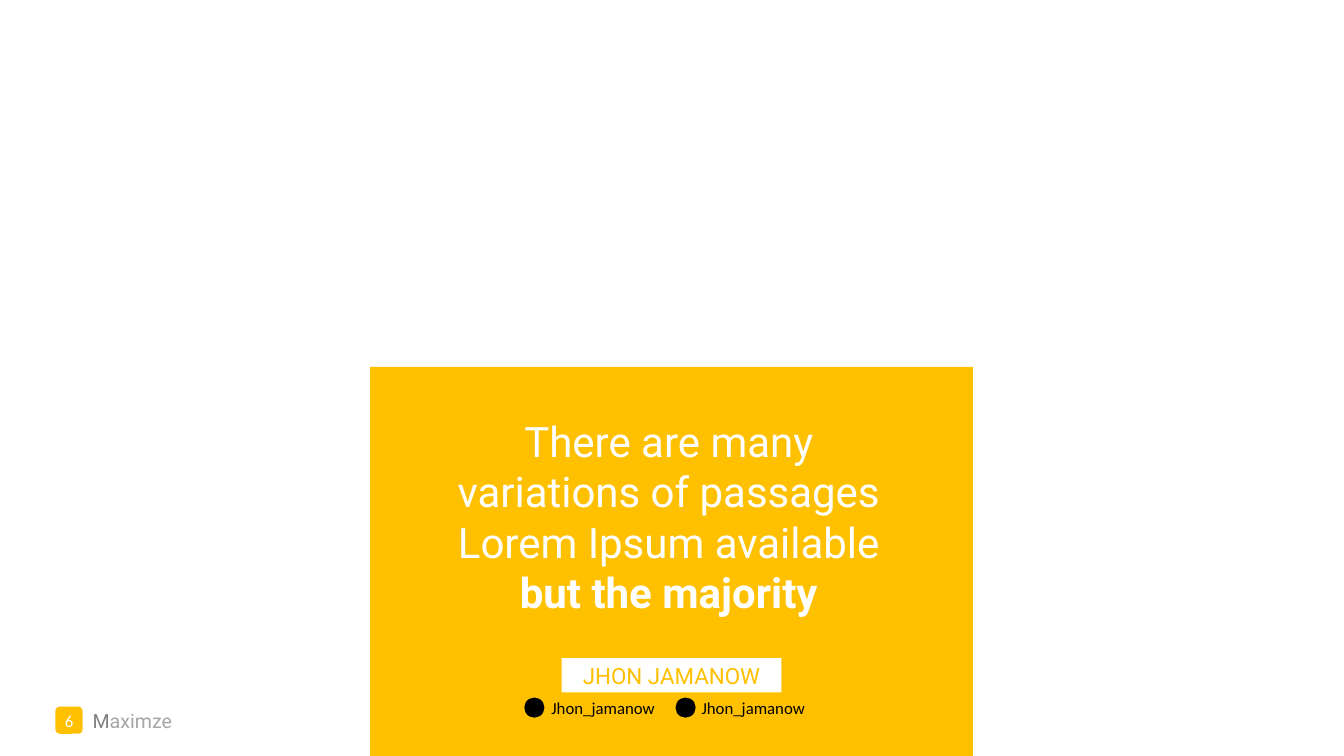
from dataclasses import dataclass

from lxml.etree import SubElement
from pptx import Presentation
from pptx.dml.color import RGBColor
from pptx.enum.shapes import MSO_SHAPE
from pptx.enum.text import MSO_ANCHOR, PP_ALIGN
from pptx.oxml.ns import qn
from pptx.shapes.autoshape import Shape
from pptx.slide import Slide
from pptx.util import Inches, Pt

AMBER = RGBColor(0xFF, 0xC0, 0x00)
WHITE = RGBColor(0xFF, 0xFF, 0xFF)
BLACK = RGBColor(0x00, 0x00, 0x00)
DARK_GRAY = RGBColor(0x80, 0x80, 0x80)
LIGHT_GRAY = RGBColor(0xA6, 0xA6, 0xA6)


@dataclass(frozen=True)
class Area:
    left: float
    top: float
    width: float
    height: float

    def lengths(self) -> tuple[int, int, int, int]:
        return (Inches(self.left), Inches(self.top),
                Inches(self.width), Inches(self.height))


@dataclass(frozen=True)
class Span:
    text: str
    color: RGBColor
    bold: bool = False


@dataclass(frozen=True)
class SocialAccount:
    name: str
    icon_left: float
    name_left: float


ACCOUNTS = (
    SocialAccount("Jhon_jamanow", 5.2, 5.37),
    SocialAccount("Jhon_jamanow", 6.7, 6.86),
)


def write_text(box: Shape, *spans: Span, size: float, font: str = "Roboto",
               align: PP_ALIGN = PP_ALIGN.LEFT,
               anchor: MSO_ANCHOR = MSO_ANCHOR.TOP) -> None:
    frame = box.text_frame
    frame.word_wrap = True
    frame.vertical_anchor = anchor
    para = frame.paragraphs[0]
    para.alignment = align
    for span in spans:
        run = para.add_run()
        run.text = span.text
        run.font.name = font
        run.font.size = Pt(size)
        run.font.bold = span.bold
        run.font.color.rgb = span.color


def add_box(page: Slide, area: Area) -> Shape:
    return page.shapes.add_textbox(*area.lengths())


def add_panel(page: Slide, area: Area, color: RGBColor,
              kind: MSO_SHAPE = MSO_SHAPE.RECTANGLE) -> Shape:
    panel = page.shapes.add_shape(kind, *area.lengths())
    panel.shadow.inherit = False
    panel.fill.solid()
    panel.fill.fore_color.rgb = color
    panel.line.fill.background()
    return panel


def set_opacity(panel: Shape, percent: int) -> None:
    color = panel.fill._xPr.find(qn("a:solidFill")).find(qn("a:srgbClr"))
    SubElement(color, qn("a:alpha")).set("val", str(percent * 1000))


def add_footer(page: Slide) -> None:
    add_panel(page, Area(0.55, 7.01, 0.27, 0.27), AMBER,
              MSO_SHAPE.ROUNDED_RECTANGLE)
    write_text(add_box(page, Area(0.82, 6.98, 1.2, 0.34)),
               Span("M", DARK_GRAY), Span("aximze", LIGHT_GRAY), size=14)
    write_text(add_box(page, Area(0.51, 7, 0.35, 0.3)), Span("6", WHITE),
               size=12, font="Calibri", align=PP_ALIGN.CENTER)


def add_quote(page: Slide) -> None:
    set_opacity(add_panel(page, Area(3.44, 3.41, 6.46, 3.51), WHITE), 80)
    add_panel(page, Area(3.67, 3.64, 5.98, 3.86), AMBER)
    quote = add_box(page, Area(4.38, 4.07, 4.57, 2.11))
    quote.text_frame.margin_right = Inches(0.16)
    quote.text_frame.margin_bottom = Inches(0.04)
    write_text(quote,
               Span("There are many variations of passages "
                    "Lorem Ipsum available ", WHITE),
               Span("but the majority", WHITE, bold=True),
               size=30, align=PP_ALIGN.CENTER)
    author = add_panel(page, Area(5.57, 6.53, 2.18, 0.34), WHITE)
    write_text(author, Span("JHON JAMANOW", AMBER), size=16,
               align=PP_ALIGN.CENTER, anchor=MSO_ANCHOR.MIDDLE)


def add_account(page: Slide, account: SocialAccount) -> None:
    add_panel(page, Area(account.icon_left, 6.92, 0.2, 0.2), BLACK,
              MSO_SHAPE.OVAL)
    write_text(add_box(page, Area(account.name_left, 6.87, 1.28, 0.34)),
               Span(account.name, BLACK), size=12, font="Calibri")


def main() -> None:
    deck = Presentation()
    deck.slide_width = Inches(13.33)
    deck.slide_height = Inches(7.5)
    blank_layout = deck.slide_layouts[6]
    page = deck.slides.add_slide(blank_layout)
    add_footer(page)
    add_quote(page)
    for account in ACCOUNTS:
        add_account(page, account)
    deck.save("out.pptx")


if __name__ == "__main__":
    main()
